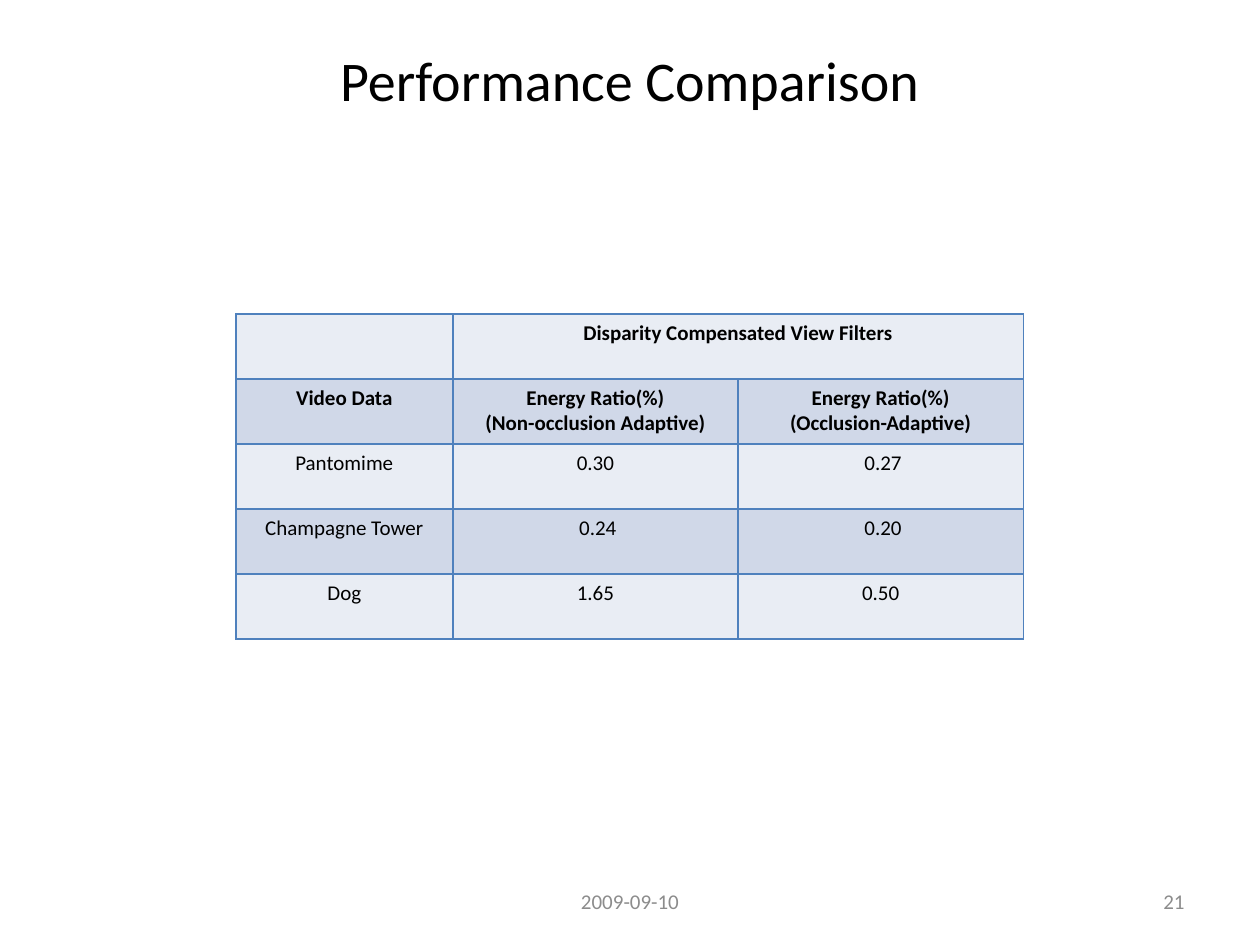
import pptx
import pptx.dml.color
import pptx.enum.text
import pptx.oxml
import pptx.oxml.ns
import pptx.util

Pt = pptx.util.Pt
RGBColor = pptx.dml.color.RGBColor
ALIGN = pptx.enum.text.PP_ALIGN
ANCHOR = pptx.enum.text.MSO_ANCHOR

BLACK = RGBColor(0x00, 0x00, 0x00)
GRAY = RGBColor(0x8C, 0x8C, 0x8C)
BORDER = RGBColor(0x4F, 0x81, 0xBD)
BANDS = (RGBColor(0xE9, 0xED, 0xF4), RGBColor(0xD0, 0xD8, 0xE8))

FONT = "Calibri"
HEADER_ROWS = 2
COLUMN_WIDTHS = (124, 163, 163)
ROWS = (
    ("", "Disparity Compensated View Filters", ""),
    ("Video Data", "Energy Ratio(%)\n(Non-occlusion Adaptive)",
     "Energy Ratio(%)\n(Occlusion-Adaptive)"),
    ("Pantomime", "0.30", " 0.27"),
    ("Champagne Tower", " 0.24", " 0.20"),
    ("Dog", "1.65", "0.50"),
)


def write_text(text_frame, text, size=12, color=BLACK, bold=False, align=ALIGN.CENTER):
    """Fill a text frame, one paragraph per line of text."""
    text_frame.text = text
    for paragraph in text_frame.paragraphs:
        paragraph.alignment = align
        paragraph.font.name = FONT
        paragraph.font.size = Pt(size)
        for run in paragraph.runs:
            run.font.name = FONT
            run.font.size = Pt(size)
            run.font.bold = bold
            run.font.color.rgb = color


def add_label(slide, box, text, **text_format):
    """Place a vertically centred text box in the given box."""
    shape = slide.shapes.add_textbox(*map(Pt, box))
    shape.text_frame.word_wrap = True
    shape.text_frame.vertical_anchor = ANCHOR.MIDDLE
    write_text(shape.text_frame, text, **text_format)


def set_borders(cell, color, width):
    """Draw a solid line on all four sides of a cell."""
    properties = cell._tc.get_or_add_tcPr()
    for position, side in enumerate(("lnL", "lnR", "lnT", "lnB")):
        line = pptx.oxml.parse_xml(
            f'<a:{side} {pptx.oxml.ns.nsdecls("a")} w="{Pt(width)}">'
            f'<a:solidFill><a:srgbClr val="{color}"/></a:solidFill></a:{side}>'
        )
        properties.insert(position, line)


def add_comparison_table(slide, box):
    """Place the banded table of energy ratios in the given box."""
    frame = slide.shapes.add_table(len(ROWS), len(COLUMN_WIDTHS), *map(Pt, box))
    table = frame.table
    for column, width in zip(table.columns, COLUMN_WIDTHS):
        column.width = Pt(width)
    for row_index, texts in enumerate(ROWS):
        table.rows[row_index].height = Pt(box[3] / len(ROWS))
        for column_index, text in enumerate(texts):
            cell = table.cell(row_index, column_index)
            cell.fill.solid()
            cell.fill.fore_color.rgb = BANDS[row_index % 2]
            set_borders(cell, BORDER, 1)
            write_text(cell.text_frame, text, bold=row_index < HEADER_ROWS)
    table.cell(0, 1).merge(table.cell(0, 2))


def add_footer(slide, box):
    """Place the date and the slide number in the given footer strip."""
    left, top, width, height = box
    add_label(slide, (left, top, 228, height), "2009-09-10", color=GRAY)
    number_width = 168
    number_box = (left + width - number_width, top, number_width, height)
    add_label(slide, number_box, "21", color=GRAY, align=ALIGN.RIGHT)


def main():
    """Build the slide and save it."""
    presentation = pptx.Presentation()
    presentation.slide_width, presentation.slide_height = Pt(720), Pt(540)
    slide = presentation.slides.add_slide(presentation.slide_layouts[6])
    add_comparison_table(slide, (134.75, 179.5, 450, 185.75))
    add_label(slide, (0, 0, 720, 90), "Performance Comparison", size=32)
    add_footer(slide, (246, 500.5, 438, 28.75))
    presentation.save("out.pptx")


if __name__ == "__main__":
    main()
